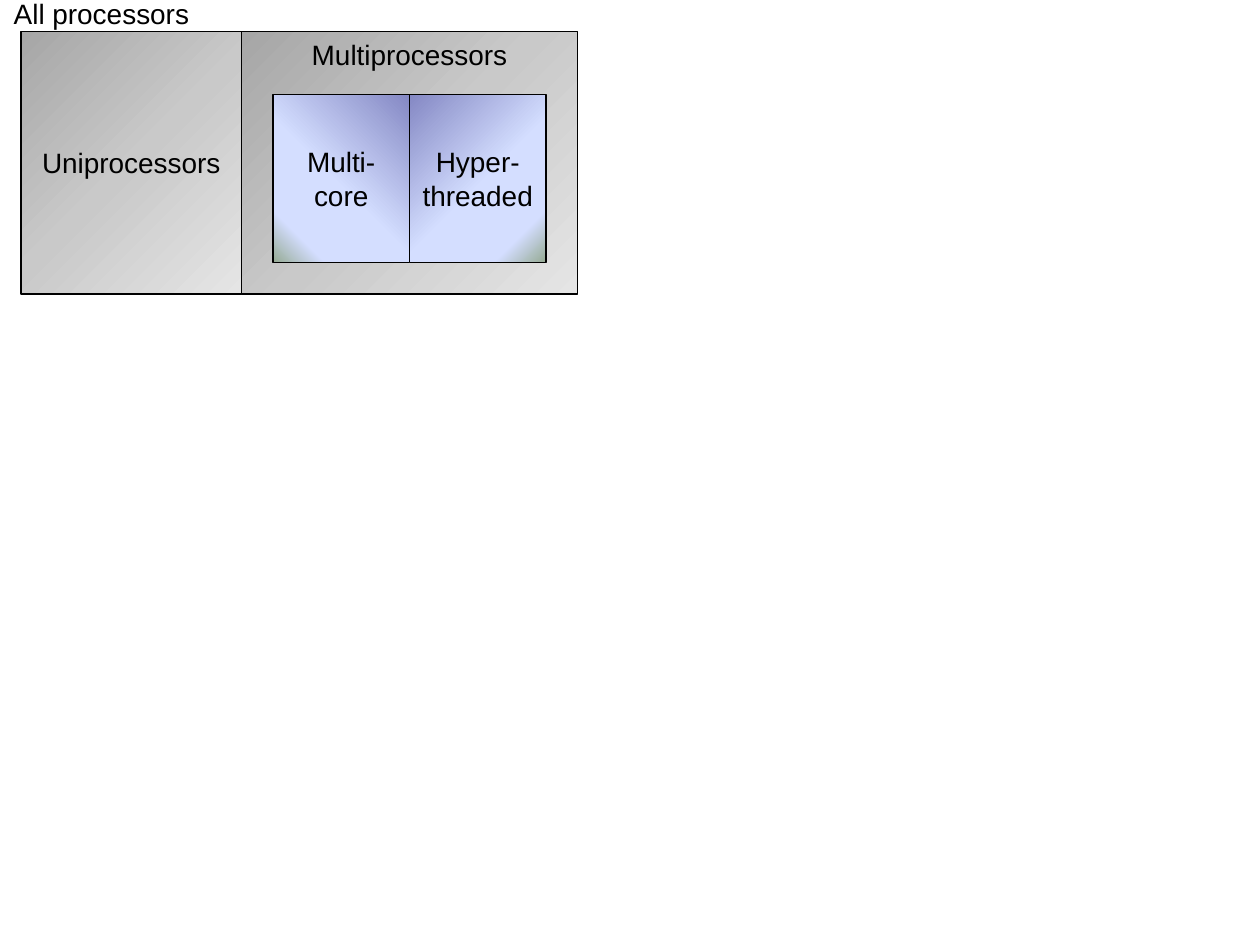
from copy import deepcopy
from pptx import Presentation
from pptx.dml.color import RGBColor as RGB
from pptx.enum.shapes import MSO_SHAPE as Kind
from pptx.enum.text import MSO_ANCHOR as Anchor, MSO_AUTO_SIZE as Auto, PP_ALIGN as Align
from pptx.oxml.ns import qn
from pptx.util import Pt

BLACK = RGB(0x00, 0x00, 0x00)
GRAY = [(0, RGB(0xA6, 0xA6, 0xA6)), (0.5, RGB(0xC9, 0xC9, 0xC9)), (1, RGB(0xE5, 0xE5, 0xE5))]
PALE = RGB(0xD4, 0xDE, 0xFF)
BLUE = [(0, RGB(0x84, 0x88, 0xC4)), (0.53, PALE), (0.83, PALE), (1, RGB(0x96, 0xAB, 0x94))]
FONT = {"name": "Arial", "size": Pt(16)}

TITLE = "All processors"
OUTER = [("Uniprocessors", 126, "middle"), ("Multiprocessors", 192, "top")]
INNER = [(["Multi-", "core"], 135), (["Hyper-", "threaded"], 45)]
LEFT, TOP, HIGH = 12, 18, 150
PAD, LABEL = 18, 26.6


def write(shape, lines, wrap):
    frame = shape.text_frame
    frame.text = "\n".join(lines)
    frame.word_wrap = wrap
    frame.vertical_anchor = Anchor.MIDDLE
    for para in frame.paragraphs:
        para.alignment = Align.CENTER
        for key, value in FONT.items():
            setattr(para.font, key, value)
        para.font.color.rgb = BLACK


def label(slide, text, area, wrap=True):
    box = slide.shapes.add_textbox(*map(Pt, area))
    write(box, [text], wrap)
    box.text_frame.auto_size = Auto.SHAPE_TO_FIT_TEXT


def block(slide, area, stops, angle):
    box = slide.shapes.add_shape(Kind.RECTANGLE, *map(Pt, area))
    box.shadow.inherit = False
    box.line.color.rgb = BLACK
    box.line.width = Pt(1)
    box.fill.gradient()
    box.fill.gradient_angle = 360 - angle
    group = box._element.spPr.find(".//" + qn("a:gsLst"))
    while len(group) < len(stops):
        group.append(deepcopy(group[0]))
    for stop, (place, color) in zip(box.fill.gradient_stops, stops):
        stop.position = place
        stop.color.rgb = color
    return box


def main():
    deck = Presentation()
    deck.slide_width, deck.slide_height = Pt(720), Pt(540)
    slide = deck.slides.add_slide(deck.slide_layouts[6])
    label(slide, TITLE, (0, -5.8, 116, LABEL), False)

    left = LEFT
    for text, wide, place in OUTER:
        block(slide, (left, TOP, wide, HIGH), GRAY, 45)
        top = TOP if place == "top" else TOP + (HIGH - LABEL) / 2
        label(slide, text, (left, top, wide, LABEL))
        left += wide

    wide = (OUTER[-1][1] - 2 * PAD) / len(INNER)
    start = LEFT + OUTER[0][1] + PAD
    for step, (lines, angle) in enumerate(INNER):
        area = (start + step * wide, TOP + 2 * PAD, wide, HIGH - 3 * PAD)
        write(block(slide, area, BLUE, angle), lines, False)

    deck.save("out.pptx")


if __name__ == "__main__":
    main()
